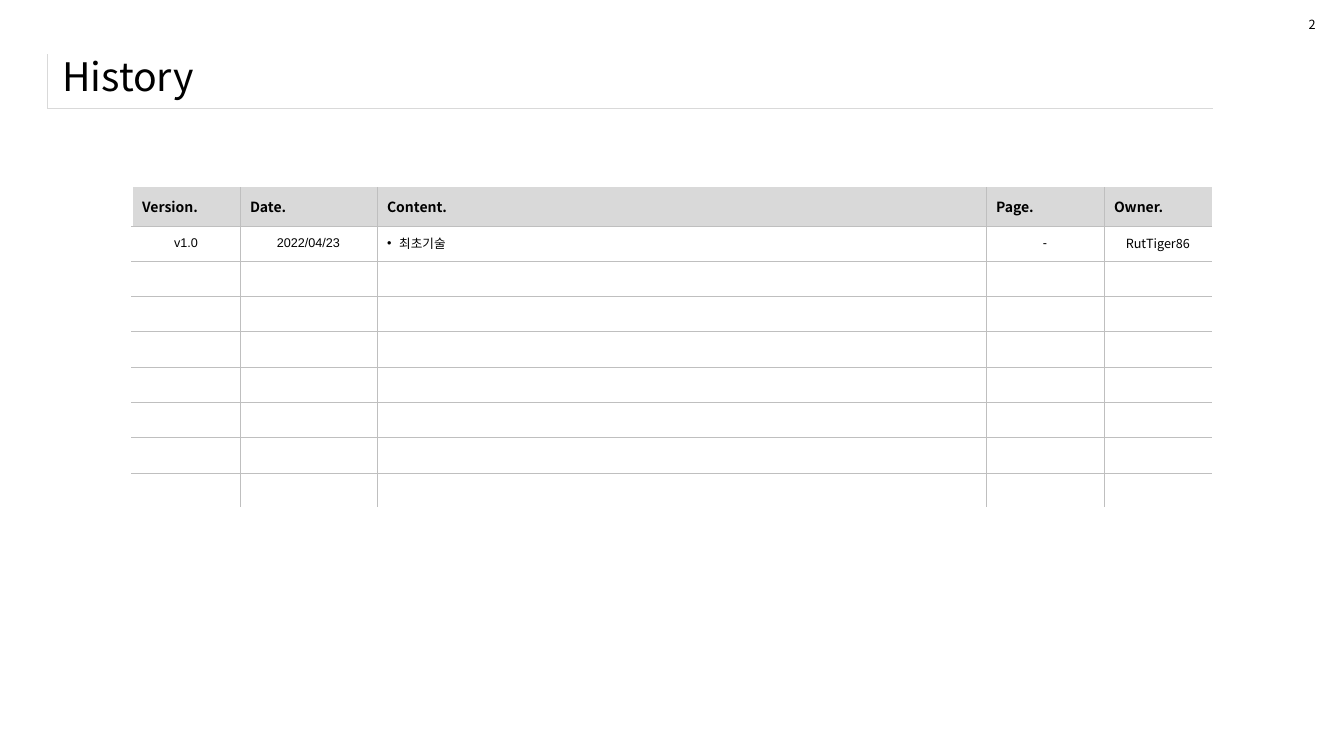
from dataclasses import dataclass
from lxml.etree import SubElement
from pptx import Presentation
from pptx.dml.color import RGBColor
from pptx.enum.text import MSO_ANCHOR as Anchor, PP_ALIGN as Align
from pptx.oxml.ns import qn
from pptx.util import Inches, Pt

TITLE = "History"
PAGE_NUMBER = "2"
COLUMNS = [("Version.", 1.07), ("Date.", 1.36), ("Content.", 6.04), ("Page.", 1.17), ("Owner.", 1.07)]
ENTRIES = [("v1.0", "2022/04/23", "최초기술", "-", "RutTiger86")]
EMPTY_ENTRIES = 7
CONTENT_COLUMN = 2
ARIAL_COLUMNS = (0, 1, 3)


@dataclass(frozen=True)
class Theme:
    sans: str = "Noto Sans CJK KR"
    plain: str = "Arial"
    ink: str = "000000"
    white: str = "FFFFFF"
    header: str = "D9D9D9"
    grid: str = "BFBFBF"
    title_size: float = 28
    header_size: float = 10
    body_size: float = 9
    hairline: float = 0.25


theme = Theme()
GRID = (theme.grid, theme.hairline)
FRAME = (theme.header, theme.hairline)
EDGE = (theme.white, 1)


def add_span(para, text, size, font=theme.sans, bold=False):
    span = para.add_run()
    span.text = text
    span.font.size = Pt(size)
    span.font.name = font
    span.font.bold = bold
    span.font.color.rgb = RGBColor.from_string(theme.ink)
    SubElement(span.font._element, qn("a:ea"), typeface=theme.sans)


def add_label(page, area, text, size, anchor, wrap):
    frame = page.shapes.add_textbox(*map(Inches, area)).text_frame
    frame.word_wrap = wrap
    frame.vertical_anchor = anchor
    add_span(frame.paragraphs[0], text, size)


def add_bullet(para):
    props = para._p.get_or_add_pPr()
    props.set("marL", str(Inches(0.12)))
    props.set("indent", str(Inches(-0.12)))
    SubElement(props, qn("a:buFont"), typeface=theme.plain)
    SubElement(props, qn("a:buChar"), char="•")


def style_cell(cell, borders, fill=None):
    props = cell._tc.get_or_add_tcPr()
    for side in "LRTB":
        border = borders.get(side)
        line = SubElement(props, qn(f"a:ln{side}"))
        if border:
            color, width = border
            line.set("w", str(Pt(width)))
            solid = SubElement(line, qn("a:solidFill"))
            SubElement(solid, qn("a:srgbClr"), val=color)
        else:
            SubElement(line, qn("a:noFill"))
    if fill:
        cell.fill.solid()
        cell.fill.fore_color.rgb = RGBColor.from_string(fill)
    else:
        cell.fill.background()
    cell.vertical_anchor = Anchor.MIDDLE


def add_grid(page, left, top, widths, heights):
    area = map(Inches, (left, top, sum(widths), sum(heights)))
    table = page.shapes.add_table(len(heights), len(widths), *area).table
    table.first_row = table.horz_banding = False
    for column, width in zip(table.columns, widths):
        column.width = Inches(width)
    for row, height in zip(table.rows, heights):
        row.height = Inches(height)
    return table


deck = Presentation()
deck.slide_width, deck.slide_height = Inches(13.33), Inches(7.5)
page = deck.slides.add_slide(deck.slide_layouts[6])

title_frame = add_grid(page, 0.47, 0.54, [11.56], [0.63 - 0.1])
style_cell(title_frame.cell(0, 0), {"L": FRAME, "B": FRAME})
add_label(page, (0.52, 0.44, 12.49, 0.63), TITLE, theme.title_size, Anchor.MIDDLE, True)

headings, widths = zip(*COLUMNS)
records = [headings, *ENTRIES, *[[""] * len(COLUMNS)] * EMPTY_ENTRIES]
heights = [0.38] + [0.35] * (len(records) - 1)
history = add_grid(page, 1.31, 1.86, widths, heights)
last_row, last_column = len(records) - 1, len(COLUMNS) - 1

for row, record in enumerate(records):
    for column, text in enumerate(record):
        cell = history.cell(row, column)
        style_cell(cell, {
            "L": GRID if column else EDGE,
            "R": GRID if column < last_column else None,
            "T": GRID if row else None,
            "B": GRID if row < last_row else EDGE,
        }, None if row else theme.header)
        para = cell.text_frame.paragraphs[0]
        if row == 0:
            add_span(para, text, theme.header_size, bold=True)
        elif text:
            if column == CONTENT_COLUMN:
                add_bullet(para)
            else:
                para.alignment = Align.CENTER
            add_span(para, text, theme.body_size, theme.plain if column in ARIAL_COLUMNS else theme.sans)
        else:
            SubElement(para._p, qn("a:endParaRPr"), sz=str(theme.body_size * 100))

add_label(page, (12.88, 0.12, 0.27, 0.25), PAGE_NUMBER, theme.body_size, Anchor.TOP, False)
deck.save("out.pptx")
